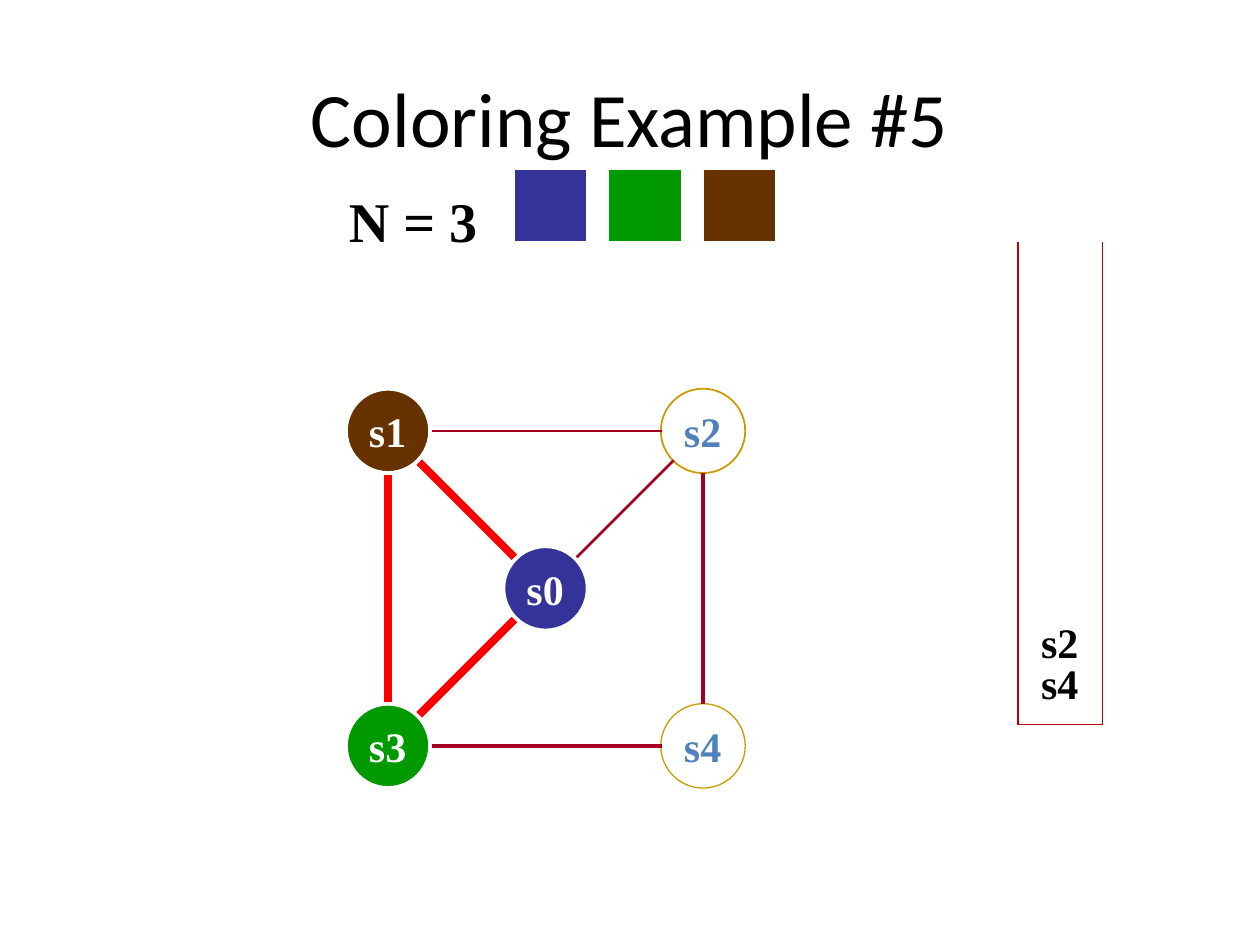
"""Build the graph coloring slide with its palette, graph and stack."""
from math import hypot

from lxml.etree import SubElement
from pptx import Presentation
from pptx.dml.color import RGBColor
from pptx.enum.shapes import MSO_CONNECTOR, MSO_SHAPE
from pptx.enum.text import MSO_ANCHOR, MSO_AUTO_SIZE, PP_ALIGN
from pptx.oxml.ns import qn
from pptx.util import Inches, Pt

TITLE = "Coloring Example #5"
COUNT = "N = 3"
BLUE, GREEN, BROWN = PALETTE = ("333399", "009900", "663300")
WHITE, BLACK, RED, WINE = "FFFFFF", "000000", "FF0000", "A50021"
GOLD, OPEN_TEXT, STACK_LINE = "CC9900", "4F81BD", "C00000"

# name: (column, row, color, outline width)
NODES = {
    "s1": (0, 0, BROWN, 2.25),
    "s2": (2, 0, None, 1),
    "s3": (0, 2, GREEN, 2.25),
    "s4": (2, 2, None, 0.75),
    "s0": (1, 1, BLUE, 2.25),
}
EDGES = [
    ("s1", "s2", WINE, 1.5),
    ("s0", "s2", WINE, 1.5),
    ("s1", "s0", RED, 4.5),
    ("s1", "s3", RED, 4.5),
    ("s3", "s4", WINE, 2.25),
    ("s2", "s4", WINE, 2.25),
    ("s3", "s0", RED, 4.5),
]
STACK = ["s4", "s2"]

GRAPH_LEFT, GRAPH_TOP, STEP, DIAMETER = 3.08, 3.42, 1.25, 0.67
SWATCH_LEFT, SWATCH_TOP, SWATCH_STEP, SWATCH = 4.08, 1.34, 0.75, 0.58
STACK_LEFT, STACK_RIGHT, STACK_TOP, STACK_BOTTOM = 8.08, 8.75, 1.92, 5.75
ROW = 0.33

deck = Presentation()
deck.slide_width, deck.slide_height = Inches(10), Inches(7.5)
slide = deck.slides.add_slide(deck.slide_layouts[5])


def rgb(color):
    return RGBColor.from_string(color)


def write(frame, text, size=24, font="Times New Roman", color=BLACK, bold=True,
          align=PP_ALIGN.LEFT):
    frame.vertical_anchor = MSO_ANCHOR.MIDDLE
    paragraph = frame.paragraphs[0]
    paragraph.alignment = align
    run = paragraph.add_run()
    run.text = text
    run.font.size, run.font.name, run.font.bold = Pt(size), font, bold
    run.font.color.rgb = rgb(color)


def label(text, x, y, width=0.5, height=0.5, **style):
    box = slide.shapes.add_textbox(
        Inches(x - width / 2), Inches(y - height / 2), Inches(width), Inches(height))
    box.text_frame.word_wrap = False
    box.text_frame.auto_size = MSO_AUTO_SIZE.SHAPE_TO_FIT_TEXT
    write(box.text_frame, text, **style)


def figure(kind, x, y, side, fill, outline, weight):
    shape = slide.shapes.add_shape(kind, Inches(x), Inches(y), Inches(side), Inches(side))
    shape.shadow.inherit = False
    if fill:
        shape.fill.solid()
        shape.fill.fore_color.rgb = rgb(fill)
    else:
        shape.fill.background()
    shape.line.color.rgb = rgb(outline)
    shape.line.width = Pt(weight)


def line(start, end, color, weight):
    connector = slide.shapes.add_connector(
        MSO_CONNECTOR.STRAIGHT, *(Inches(value) for value in (*start, *end)))
    connector.line.color.rgb = rgb(color)
    connector.line.width = Pt(weight)
    SubElement(connector._element.spPr, qn("a:effectLst"))


def center(name):
    column, row = NODES[name][:2]
    return GRAPH_LEFT + column * STEP, GRAPH_TOP + row * STEP


def rim(name, other):
    (x, y), (other_x, other_y) = center(name), center(other)
    reach = 0.35 if NODES[name][2] else 0.33
    share = reach / hypot(other_x - x, other_y - y)
    return x + share * (other_x - x), y + share * (other_y - y)


title = slide.shapes.title
title.left, title.top, title.width, title.height = map(Inches, (0.5, 0.3, 9, 1.25))
write(title.text_frame, TITLE, size=44, font="Calibri", bold=False, align=PP_ALIGN.CENTER)

corners = [(STACK_LEFT, STACK_TOP), (STACK_LEFT, STACK_BOTTOM),
           (STACK_RIGHT, STACK_BOTTOM), (STACK_RIGHT, STACK_TOP)]
for start, end in zip(corners, corners[1:]):
    line(start, end, STACK_LINE, 0.75)

for name, (_, _, color, weight) in NODES.items():
    x, y = center(name)
    figure(MSO_SHAPE.OVAL, x - DIAMETER / 2, y - DIAMETER / 2, DIAMETER,
           color, WHITE if color else GOLD, weight)
    label(name, x, y, color=WHITE if color else OPEN_TEXT)

for first, second, color, weight in EDGES:
    line(rim(first, second), rim(second, first), color, weight)

label(COUNT, 3.28, 1.75, width=1.22, height=0.64, size=32)
for index, color in enumerate(PALETTE):
    figure(MSO_SHAPE.RECTANGLE, SWATCH_LEFT + index * SWATCH_STEP, SWATCH_TOP, SWATCH,
           color, WHITE, 0.75)

for index, name in enumerate(STACK):
    label(name, (STACK_LEFT + STACK_RIGHT) / 2, STACK_BOTTOM - (index + 1) * ROW)

deck.save("out.pptx")
